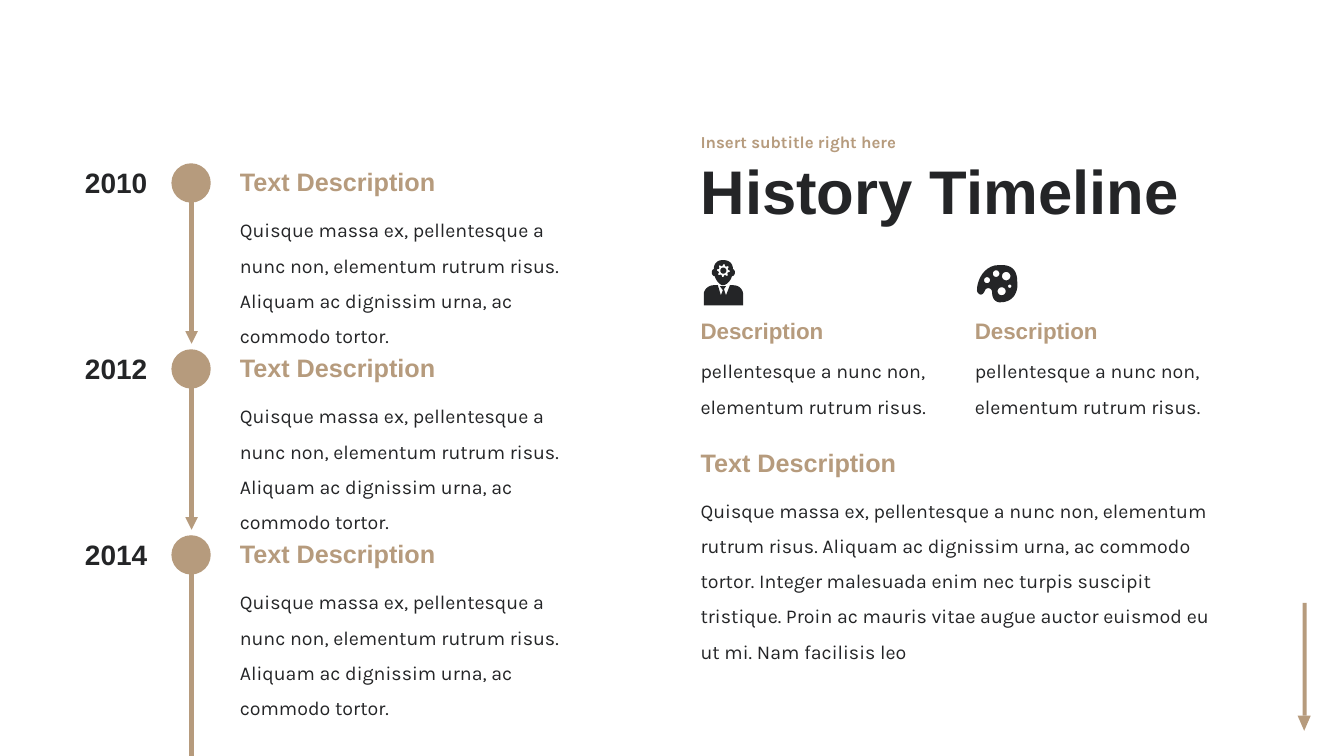
import math
from dataclasses import dataclass

import lxml.etree
import pptx
import pptx.dml.color
import pptx.enum.shapes
import pptx.enum.text
import pptx.oxml.ns
import pptx.shapes.autoshape
import pptx.slide
import pptx.util

# The grid has square cells of a tenth of an inch: 133.3 columns by 75 rows.
CELL = pptx.util.Inches(0.1)
COLUMNS, ROWS = 133.3, 75
COLORS = {"tan": "B69B7D", "ink": "242527", "white": "FFFFFF"}
HEAD_FONT, BODY_FONT = "Arial", "Karla"

MSO = pptx.enum.shapes.MSO_SHAPE
ALIGN = pptx.enum.text.PP_ALIGN
ANCHOR = pptx.enum.text.MSO_ANCHOR
qn = pptx.oxml.ns.qn
Point = tuple[float, float]


@dataclass(frozen=True)
class Style:
    size: int
    color: str
    font: str = HEAD_FONT
    bold: bool = True
    spacing: float = 1.0
    align: ALIGN = ALIGN.LEFT
    anchor: ANCHOR = ANCHOR.TOP


@dataclass(frozen=True)
class Label:
    text: str
    style: Style
    col: float
    row: float
    cols: float
    rows: float


TITLE = Style(44, "ink", spacing=0.9, anchor=ANCHOR.MIDDLE)
SUBTITLE = Style(12, "tan", BODY_FONT, spacing=0.9, anchor=ANCHOR.MIDDLE)
HEADING = Style(18, "tan")
SUBHEADING = Style(16, "tan")
YEAR = Style(20, "ink", align=ALIGN.RIGHT)
BODY = Style(14, "ink", BODY_FONT, bold=False, spacing=1.5)

SHORT = "pellentesque a nunc non, elementum rutrum risus."
MEDIUM = f"Quisque massa ex, {SHORT} Aliquam ac dignissim urna, ac commodo tortor."
LONG = (f"{MEDIUM} Integer malesuada enim nec turpis suscipit tristique. "
        "Proin ac mauris vitae augue auctor euismod eu ut mi. Nam facilisis leo")

RIGHT_COL = 68.5
FEATURE_COLS = (RIGHT_COL, 95.7)
RIGHT_LABELS = [
    Label("History Timeline", TITLE, RIGHT_COL, 14.2, 62, 10.3),
    Label("Insert subtitle right here", SUBTITLE, RIGHT_COL, 12.3, 62, 3.8),
    Label("Text Description", HEADING, RIGHT_COL, 43.9, 29.2, 4),
    Label(LONG, BODY, RIGHT_COL, 47.8, 53.3, 14.8),
]

YEARS = ("2010", "2012", "2014")
FIRST_ROW, PITCH, DOT = 16.2, 18.45, 3.9
DOT_COL, AXIS_COL = 17, 19

# Icon outlines in tenths of a cell: pairs are corners, sixes are Bezier curves.
HEAD = [(29, 9), (29, 3, 25, 0, 19, 0), (14, 0, 10, 3, 10, 9), (9, 9, 8, 11, 8, 12),
        (8, 14, 9, 16, 11, 16), (12, 20, 16, 25, 19, 25), (23, 25, 27, 20, 28, 16),
        (30, 16, 31, 14, 31, 12), (31, 11, 30, 9, 29, 9)]
SUIT = [(29, 25), (26, 25), (22, 35), (20, 29), (22, 26), (16, 26), (19, 30), (17, 35),
        (14, 25), (10, 25), (5, 25, 0, 29, 0, 34), (0, 45), (39, 45), (39, 34),
        (39, 29, 35, 25, 29, 25)]
PALETTE = [(22, 0), (7, 0, 0, 15, 0, 25), (0, 28, 5, 33, 8, 25), (9, 22, 15, 22, 15, 27),
           (15, 33, 18, 37, 23, 37), (38, 37, 41, 24, 40, 17), (40, 9, 38, -1, 22, 0)]
PAINT_WELLS = [(10, 15, 3), (19, 8.5, 3.3), (24.5, 26, 4), (32.5, 21, 1.7), (29, 11, 4.2)]
GEAR_CENTER = (19.5, 10.5)


def cells(n: float) -> pptx.util.Emu:
    return pptx.util.Emu(round(n * CELL))


def rgb(name: str) -> pptx.dml.color.RGBColor:
    return pptx.dml.color.RGBColor.from_string(COLORS[name])


def paint(sp: pptx.shapes.autoshape.Shape, color: str) -> None:
    sp.shadow.inherit = False
    sp.fill.solid()
    sp.fill.fore_color.rgb = rgb(color)
    sp.line.fill.background()


def add_block(s: pptx.slide.Slide, kind: MSO, color: str, col: float, row: float,
              cols: float, rows: float) -> pptx.shapes.autoshape.Shape:
    sp = s.shapes.add_shape(kind, cells(col), cells(row), cells(cols), cells(rows))
    paint(sp, color)
    return sp


def add_label(s: pptx.slide.Slide, label: Label) -> None:
    style = label.style
    sp = s.shapes.add_textbox(cells(label.col), cells(label.row),
                              cells(label.cols), cells(label.rows))
    tf = sp.text_frame
    tf.word_wrap = True
    tf.vertical_anchor = style.anchor
    if style.anchor == ANCHOR.TOP:
        tf.auto_size = pptx.enum.text.MSO_AUTO_SIZE.SHAPE_TO_FIT_TEXT
    p = tf.paragraphs[0]
    p.text = label.text
    p.alignment = style.align
    p.line_spacing = style.spacing
    p.font.name = style.font
    p.font.size = pptx.util.Pt(style.size)
    p.font.bold = style.bold
    p.font.color.rgb = rgb(style.color)


def add_axis(s: pptx.slide.Slide, top: float, bottom: float, arrow: bool) -> None:
    line = s.shapes.add_connector(pptx.enum.shapes.MSO_CONNECTOR.STRAIGHT, cells(AXIS_COL),
                                  cells(top), cells(AXIS_COL), cells(bottom))
    line.line.color.rgb = rgb("tan")
    line.line.width = pptx.util.Pt(3)
    props = line._element.spPr
    if arrow:
        lxml.etree.SubElement(props.find(qn("a:ln")), qn("a:tailEnd"), type="triangle")
    lxml.etree.SubElement(props, qn("a:effectLst"))


def trace(outline: list[tuple[float, ...]], steps: int = 10) -> list[Point]:
    """Turn corners and Bezier curves into a list of points."""
    points: list[Point] = []
    for part in outline:
        if len(part) == 2:
            points.append(part)
            continue
        knots = [points[-1], part[:2], part[2:4], part[4:]]
        for i in range(1, steps + 1):
            t = i / steps
            weights = [math.comb(3, k) * t**k * (1 - t)**(3 - k) for k in range(4)]
            points.append(tuple(sum(w * k[axis] for w, k in zip(weights, knots))
                                for axis in (0, 1)))
    return points


def ring(x: float, y: float, radii: list[float]) -> list[Point]:
    """Spread points evenly round a centre, one for each radius."""
    turn = 2 * math.pi / len(radii)
    return [(x + r * math.cos(i * turn), y + r * math.sin(i * turn))
            for i, r in enumerate(radii)]


def add_outline(s: pptx.slide.Slide, col: float, row: float,
                contours: list[list[Point]]) -> None:
    placed = [[(cells(col + x / 10), cells(row + y / 10)) for x, y in contour]
              for contour in contours]
    builder = s.shapes.build_freeform(*placed[0][0])
    for i, contour in enumerate(placed):
        if i:
            builder.move_to(*contour[0])
        builder.add_line_segments(contour[1:], close=True)
    paint(builder.convert_to_shape(), "ink")


def add_icons(s: pptx.slide.Slide) -> None:
    gear = ring(*GEAR_CENTER, [6.5, 6.5, 4.8, 4.8] * 8)
    hub = ring(*GEAR_CENTER, [3] * 24)
    wells = [ring(x, y, [r] * 24) for x, y, r in PAINT_WELLS]
    add_outline(s, 69.8, 25.8, [trace(SUIT)])
    add_outline(s, 69.8, 25.8, [trace(HEAD), gear, hub])
    add_outline(s, 96.9, 26.3, [trace(PALETTE), *wells])


def add_milestone(s: pptx.slide.Slide, year: str, row: float, last: bool) -> None:
    add_block(s, MSO.OVAL, "tan", DOT_COL, row, DOT, DOT)
    add_axis(s, row + 3.8, ROWS if last else row + 17.9, arrow=not last)
    add_label(s, Label(year, YEAR, 5.7, row - 0.25, 9.9, 4.4))
    add_label(s, Label(MEDIUM, BODY, 22.8, row + 3.8, 34.7, 11.2))
    add_label(s, Label("Text Description", HEADING, 22.8, row - 0.15, 29.2, 4))


def main() -> None:
    prs = pptx.Presentation()
    prs.slide_width, prs.slide_height = cells(COLUMNS), cells(ROWS)
    s = prs.slides.add_slide(prs.slide_layouts[6])
    add_block(s, MSO.RECTANGLE, "tan", 129.2, 59.8, 0.4, 11.2)
    add_block(s, MSO.ISOSCELES_TRIANGLE, "tan", 128.7, 71, 1.3, 1.5).rotation = 180
    add_block(s, MSO.RECTANGLE, "white", 0, 0, 63.2, ROWS)
    for label in RIGHT_LABELS:
        add_label(s, label)
    for col in FEATURE_COLS:
        add_label(s, Label(SHORT, BODY, col, 34, 25.3, 7.7))
        add_label(s, Label("Description", SUBHEADING, col, 31, 20, 3.7))
    add_icons(s)
    for i, year in enumerate(YEARS):
        add_milestone(s, year, FIRST_ROW + i * PITCH, last=i == len(YEARS) - 1)
    prs.save("out.pptx")


if __name__ == "__main__":
    main()
